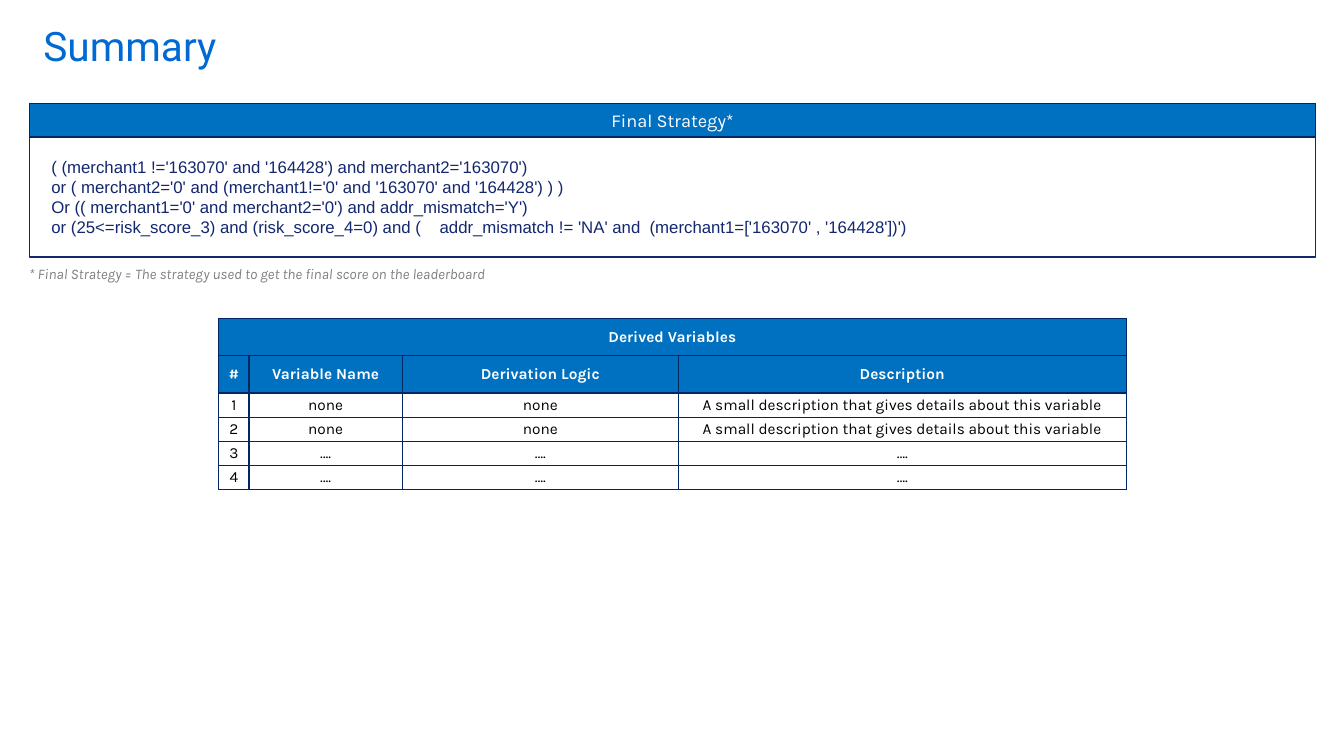
"""Build the summary slide with the final strategy and its derived variables."""
from dataclasses import dataclass
from typing import Any, Optional

from lxml.etree import SubElement
from pptx import Presentation
from pptx.dml.color import RGBColor
from pptx.enum.shapes import MSO_SHAPE as Preset
from pptx.enum.text import MSO_ANCHOR as Anchor, PP_ALIGN as Align
from pptx.oxml.ns import qn
from pptx.util import Inches, Pt

BLUE = "0070C0"
NAVY = "13276E"
GRID = "002663"
WHITE = "FFFFFF"
NO_MARGINS = dict.fromkeys(
    ("margin_left", "margin_top", "margin_right", "margin_bottom"), 0)
COLUMN_WIDTHS = (0.3, 1.52, 2.74, 4.44)
ROW_HEIGHTS = (0.37,) * 2 + (0.24,) * 4
HEADER_ROWS = 2
DETAILS = "A small description that gives details about this variable"
VARIABLES = (
    ("Derived Variables", "", "", ""),
    ("#", "Variable Name", "Derivation Logic", "Description"),
    ("1", "none", "none", DETAILS),
    ("2", "none", "none", DETAILS),
    ("3", "….", "….", "…."),
    ("4", "….", "….", "…."),
)
STRATEGY = (
    "( (merchant1 !='163070' and '164428') and merchant2='163070')",
    "or ( merchant2='0' and (merchant1!='0' and '163070' and '164428') ) )",
    "Or (( merchant1='0' and merchant2='0') and addr_mismatch='Y')",
    "or (25<=risk_score_3) and (risk_score_4=0) and (    addr_mismatch != 'NA'"
    " and  (merchant1=['163070' , '164428'])')",
)


@dataclass(frozen=True)
class Style:
    font: str
    size: float
    color: str
    bold: bool = False
    italic: bool = False
    align: Align = Align.LEFT
    spacing: Optional[float] = None


@dataclass(frozen=True)
class Box:
    left: float
    top: float
    width: float
    height: float

    def lengths(self) -> tuple:
        return tuple(map(Inches, (self.left, self.top, self.width, self.height)))


@dataclass(frozen=True)
class TextBlock:
    box: Box
    lines: tuple
    style: Style


@dataclass(frozen=True)
class Panel:
    box: Box
    border: str
    fill: Optional[str] = None
    caption: str = ""


CAPTION = Style("Karla", 13, WHITE, align=Align.CENTER)
HEADING = Style("Karla", 11, WHITE, bold=True, align=Align.CENTER)
ENTRY = Style("Karla", 11, "000000", align=Align.CENTER)
TABLE_BOX = Box(2.17, 3.16, sum(COLUMN_WIDTHS), sum(ROW_HEIGHTS))
PANELS = (
    Panel(Box(0.29, 1.03, 12.76, 1.52), NAVY),
    Panel(Box(0.29, 1.03, 12.76, 0.33), GRID, BLUE, "Final Strategy*"),
)
TEXTS = (
    TextBlock(Box(0.43, 0.29, 12, 0.41), ("Summary",),
              Style("Roboto", 29, "006AD2", spacing=0.82)),
    TextBlock(Box(0.29, 2.63, 6.96, 0.18),
              ("* Final Strategy = The strategy used to get the final score"
               " on the leaderboard",),
              Style("Karla", 10.5, "808080", italic=True)),
    TextBlock(Box(0.51, 1.55, 12.13, 0.81), STRATEGY, Style("Arial", 12, NAVY)),
)


def rgb(color: str) -> RGBColor:
    return RGBColor.from_string(color)


def apply(target: Any, values: dict) -> None:
    for name, value in values.items():
        setattr(target, name, value)


def paint(fill: Any, color: Optional[str]) -> None:
    if color:
        fill.solid()
        fill.fore_color.rgb = rgb(color)
    else:
        fill.background()


def write(frame: Any, lines: tuple, style: Style) -> None:
    for number, line in enumerate(lines):
        paragraph = frame.add_paragraph() if number else frame.paragraphs[0]
        apply(paragraph, {"alignment": style.align, "line_spacing": style.spacing})
        run = paragraph.add_run()
        run.text = line
        apply(run.font, {"name": style.font, "size": Pt(style.size),
                         "bold": style.bold, "italic": style.italic})
        run.font.color.rgb = rgb(style.color)


def draw_text(slide: Any, block: TextBlock) -> None:
    frame = slide.shapes.add_textbox(*block.box.lengths()).text_frame
    apply(frame, {"word_wrap": True, **NO_MARGINS})
    write(frame, block.lines, block.style)


def draw_panel(shapes: Any, panel: Panel) -> None:
    shape = shapes.add_shape(Preset.RECTANGLE, *panel.box.lengths())
    shape.shadow.inherit = False
    paint(shape.fill, panel.fill)
    paint(shape.line.fill, panel.border)
    shape.line.width = Pt(1)
    if panel.caption:
        shape.text_frame.vertical_anchor = Anchor.MIDDLE
        write(shape.text_frame, (panel.caption,), CAPTION)


def add_borders(cell: Any) -> None:
    properties = cell._tc.get_or_add_tcPr()
    for side in ("a:lnL", "a:lnR", "a:lnT", "a:lnB"):
        edge = SubElement(properties, qn(side), w=str(Pt(1)))
        solid = SubElement(edge, qn("a:solidFill"))
        SubElement(solid, qn("a:srgbClr"), val=GRID)


def draw_variables(slide: Any) -> None:
    table = slide.shapes.add_table(
        len(ROW_HEIGHTS), len(COLUMN_WIDTHS), *TABLE_BOX.lengths()).table
    apply(table, {"first_row": False, "horz_banding": False})
    for column, width in zip(table.columns, COLUMN_WIDTHS):
        column.width = Inches(width)
    for row, height in zip(table.rows, ROW_HEIGHTS):
        row.height = Inches(height)
    table.cell(0, 0).merge(table.cell(0, len(COLUMN_WIDTHS) - 1))
    for row_number, entries in enumerate(VARIABLES):
        is_header = row_number < HEADER_ROWS
        for column_number, entry in enumerate(entries):
            cell = table.cell(row_number, column_number)
            apply(cell, {"vertical_anchor": Anchor.MIDDLE, **NO_MARGINS})
            add_borders(cell)
            paint(cell.fill, BLUE if is_header else None)
            if entry:
                write(cell.text_frame, (entry,), HEADING if is_header else ENTRY)


def main() -> None:
    deck = Presentation()
    apply(deck, {"slide_width": Inches(13.33), "slide_height": Inches(7.5)})
    slide = deck.slides.add_slide(deck.slide_layouts[6])
    strategy_group = slide.shapes.add_group_shape()
    for panel in PANELS:
        draw_panel(strategy_group.shapes, panel)
    draw_variables(slide)
    for block in TEXTS:
        draw_text(slide, block)
    deck.save("out.pptx")


if __name__ == "__main__":
    main()
